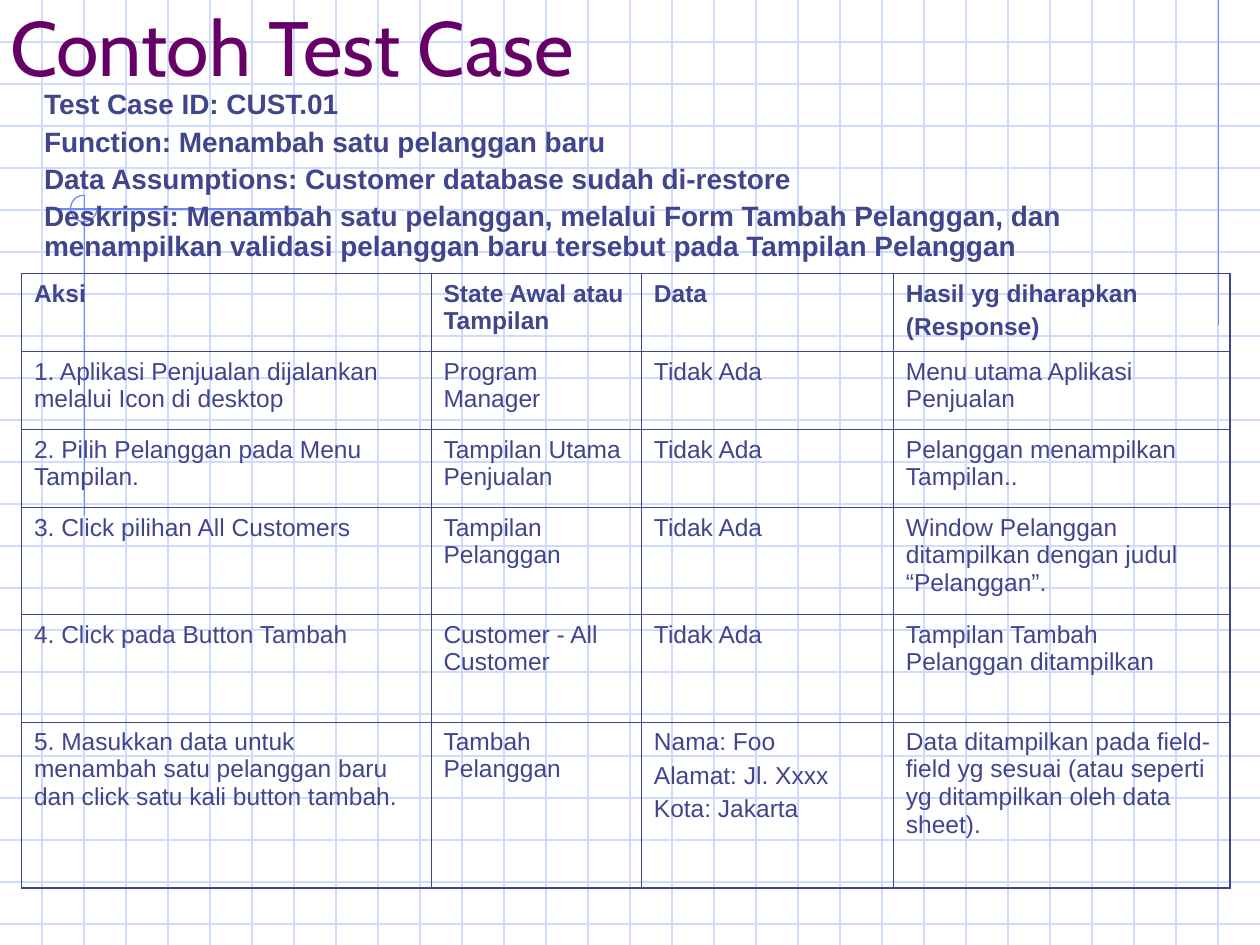
"""Build the "Contoh Test Case" slide: ruled paper, a summary and a table of steps."""
from dataclasses import dataclass

from lxml import etree
from pptx import Presentation
from pptx import util as u
from pptx.dml.color import RGBColor
from pptx.enum import shapes, text
from pptx.oxml import ns


@dataclass(frozen=True)
class Theme:
    ink: str = "40458C"
    title: str = "660066"
    grid: str = "CFDBFD"
    accent: str = "6F89F7"
    title_font: str = "Cabin"
    body_font: str = "Arial"
    title_size: float = 44
    body_size: float = 16
    cell_size: float = 14
    rule: float = 0.75
    inner_border: float = 0.45
    outer_border: float = 1.08


@dataclass(frozen=True)
class Rule:
    x1: float
    y1: float
    x2: float
    y2: float
    color: str


THEME = Theme()
WIDTH, HEIGHT, SQUARES_PER_INCH = 10, 7.5, 3

RULES = [
    *(Rule(0, n / SQUARES_PER_INCH, WIDTH, n / SQUARES_PER_INCH, THEME.grid) for n in range(1, 23)),
    *(Rule(n / SQUARES_PER_INCH, 0, n / SQUARES_PER_INCH, HEIGHT, THEME.grid) for n in range(1, 30)),
    Rule(9.67, 0, 9.67, 2.58, THEME.accent),
    Rule(2.4, 1.66, 0.45, 1.66, THEME.accent),
    Rule(0.67, 1.55, 0.67, 4.09, THEME.accent),
]

SUMMARY = [
    "Test Case ID: CUST.01",
    "Function: Menambah satu pelanggan baru",
    "Data Assumptions: Customer database sudah di-restore",
    "Deskripsi: Menambah satu pelanggan, melalui Form Tambah Pelanggan, dan "
    "menampilkan validasi pelanggan baru tersebut pada Tampilan Pelanggan",
]

COLUMN_WIDTHS = [3.25, 1.67, 2, 2.67]
ROW_HEIGHTS = [0.62, 0.62, 0.62, 0.85, 0.85, 1.32]
STEPS = [
    ("Aksi", "State Awal atau Tampilan", "Data", "Hasil yg diharapkan\n(Response)"),
    ("1. Aplikasi Penjualan dijalankan melalui Icon di desktop", "Program Manager",
     "Tidak Ada", "Menu utama Aplikasi Penjualan"),
    ("2. Pilih Pelanggan pada Menu Tampilan.", "Tampilan Utama Penjualan",
     "Tidak Ada", "Pelanggan menampilkan Tampilan.."),
    ("3. Click pilihan All Customers", "Tampilan Pelanggan",
     "Tidak Ada", "Window Pelanggan ditampilkan dengan judul “Pelanggan”."),
    ("4. Click pada Button Tambah", "Customer - All Customer",
     "Tidak Ada", "Tampilan Tambah Pelanggan ditampilkan"),
    ("5. Masukkan data untuk menambah satu pelanggan baru dan click satu kali button tambah.",
     "Tambah Pelanggan", "Nama: Foo\nAlamat: Jl. Xxxx\nKota: Jakarta",
     "Data ditampilkan pada field-field yg sesuai (atau seperti yg ditampilkan oleh data sheet)."),
]


def place(box, left: float, top: float, width: float, height: float) -> None:
    """Move and size a box, in inches."""
    box.left, box.top = u.Inches(left), u.Inches(top)
    box.width, box.height = u.Inches(width), u.Inches(height)


def style_font(para, name: str, size: float, color: str, bold: bool = False) -> None:
    """Set the font of a whole paragraph."""
    font = para.font
    font.name, font.size, font.bold = name, u.Pt(size), bold
    font.color.rgb = RGBColor.from_string(color)


def style_line(line, color: str) -> None:
    """Give a line its colour and the rule width."""
    line.color.rgb = RGBColor.from_string(color)
    line.width = u.Pt(THEME.rule)


def draw_rule(page, rule: Rule) -> None:
    """Draw one straight rule without a shadow."""
    ends = (u.Inches(value) for value in (rule.x1, rule.y1, rule.x2, rule.y2))
    connector = page.shapes.add_connector(shapes.MSO_CONNECTOR.STRAIGHT, *ends)
    style_line(connector.line, rule.color)
    etree.SubElement(connector.element.spPr, ns.qn("a:effectLst"))


def draw_arc(page) -> None:
    """Draw the three-quarter circle where the accent rules cross."""
    arc = page.shapes.add_shape(shapes.MSO_SHAPE.ARC, *map(u.Inches, (0.56, 1.55, 0.21, 0.21)))
    arc.adjustments[0], arc.adjustments[1] = 0, 162
    arc.shadow.inherit = False
    arc.fill.background()
    style_line(arc.line, THEME.accent)


def fill_title(box) -> None:
    """Write the title."""
    place(box, 0, 0, 8.5, 0.75)
    frame = box.text_frame
    frame.text = "Contoh Test Case"
    frame.auto_size = text.MSO_AUTO_SIZE.NONE
    frame.vertical_anchor = text.MSO_ANCHOR.BOTTOM
    frame.margin_left, frame.margin_top, frame.margin_bottom = u.Inches(0.08), 0, u.Inches(0.02)
    para = frame.paragraphs[0]
    para.alignment = text.PP_ALIGN.LEFT
    style_font(para, THEME.title_font, THEME.title_size, THEME.title)


def fill_summary(box) -> None:
    """Write the summary lines without bullets."""
    place(box, 0.25, 0.67, 8.67, 1.47)
    frame = box.text_frame
    frame.text = "\n".join(SUMMARY)
    frame.auto_size = text.MSO_AUTO_SIZE.NONE
    for index, para in enumerate(frame.paragraphs):
        para.line_spacing = 0.9
        para.space_before = u.Pt(4 if index else 0)
        properties = para._p.get_or_add_pPr()
        properties.set("marL", "0")
        properties.set("indent", "0")
        etree.SubElement(properties, ns.qn("a:buNone"))
        style_font(para, THEME.body_font, THEME.body_size, THEME.ink, bold=True)


def add_border(cell, side: str, width: float) -> None:
    """Draw one side of a cell."""
    properties = cell._tc.get_or_add_tcPr()
    line = etree.SubElement(properties, ns.qn(f"a:ln{side}"), w=str(u.Pt(width)))
    fill = etree.SubElement(line, ns.qn("a:solidFill"))
    etree.SubElement(fill, ns.qn("a:srgbClr"), val=THEME.ink)


def fill_cell(cell, words: str, outer: dict[str, bool], bold: bool) -> None:
    """Write a cell and draw its borders, heavier on the outer sides."""
    cell.text_frame.text = words
    for index, para in enumerate(cell.text_frame.paragraphs):
        para.space_before = u.Pt(3.5 if index else 0)
        style_font(para, THEME.body_font, THEME.cell_size, THEME.ink, bold)
    for side, is_outer in outer.items():
        add_border(cell, side, THEME.outer_border if is_outer else THEME.inner_border)
    cell.fill.background()


def draw_steps(page) -> None:
    """Draw the table of test steps."""
    rows, columns = len(STEPS), len(COLUMN_WIDTHS)
    size = (sum(COLUMN_WIDTHS), sum(ROW_HEIGHTS))
    table = page.shapes.add_table(rows, columns, *map(u.Inches, (0.17, 2.17, *size))).table
    table.first_row = table.horz_banding = False
    for column, width in zip(table.columns, COLUMN_WIDTHS):
        column.width = u.Inches(width)
    for r, (row, height) in enumerate(zip(table.rows, ROW_HEIGHTS)):
        row.height = u.Inches(height)
        for c, words in enumerate(STEPS[r]):
            outer = {"L": c == 0, "R": c == columns - 1, "T": r == 0, "B": r == rows - 1}
            fill_cell(table.cell(r, c), words, outer, bold=r == 0)


def main() -> None:
    """Build and save the deck."""
    deck = Presentation()
    deck.slide_width, deck.slide_height = u.Inches(WIDTH), u.Inches(HEIGHT)
    page = deck.slides.add_slide(deck.slide_layouts[1])
    title, summary = page.placeholders
    for rule in RULES:
        draw_rule(page, rule)
    draw_arc(page)
    fill_title(title)
    fill_summary(summary)
    for box in (title, summary):
        page.shapes.element.append(box.element)
    draw_steps(page)
    deck.save("out.pptx")


if __name__ == "__main__":
    main()
